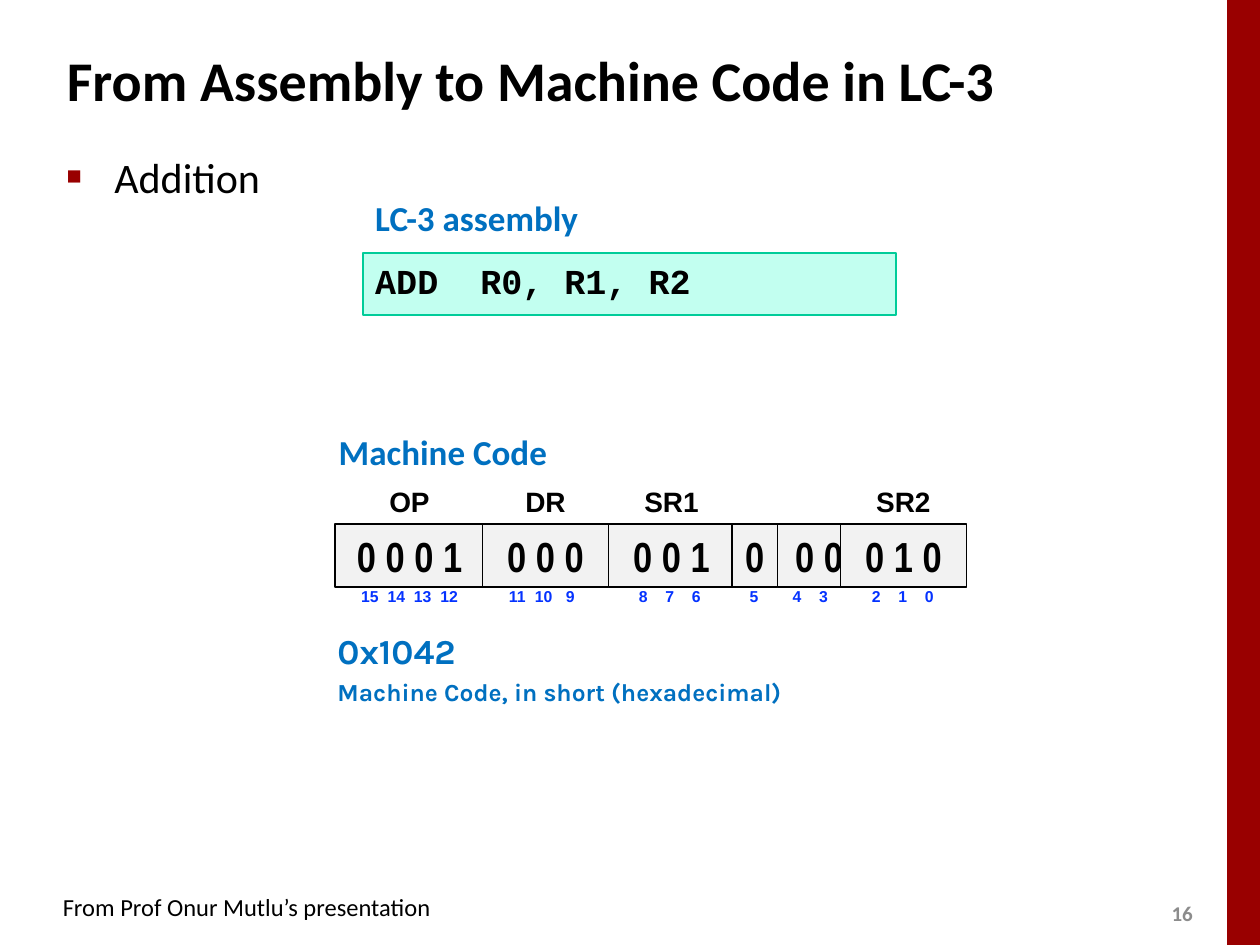
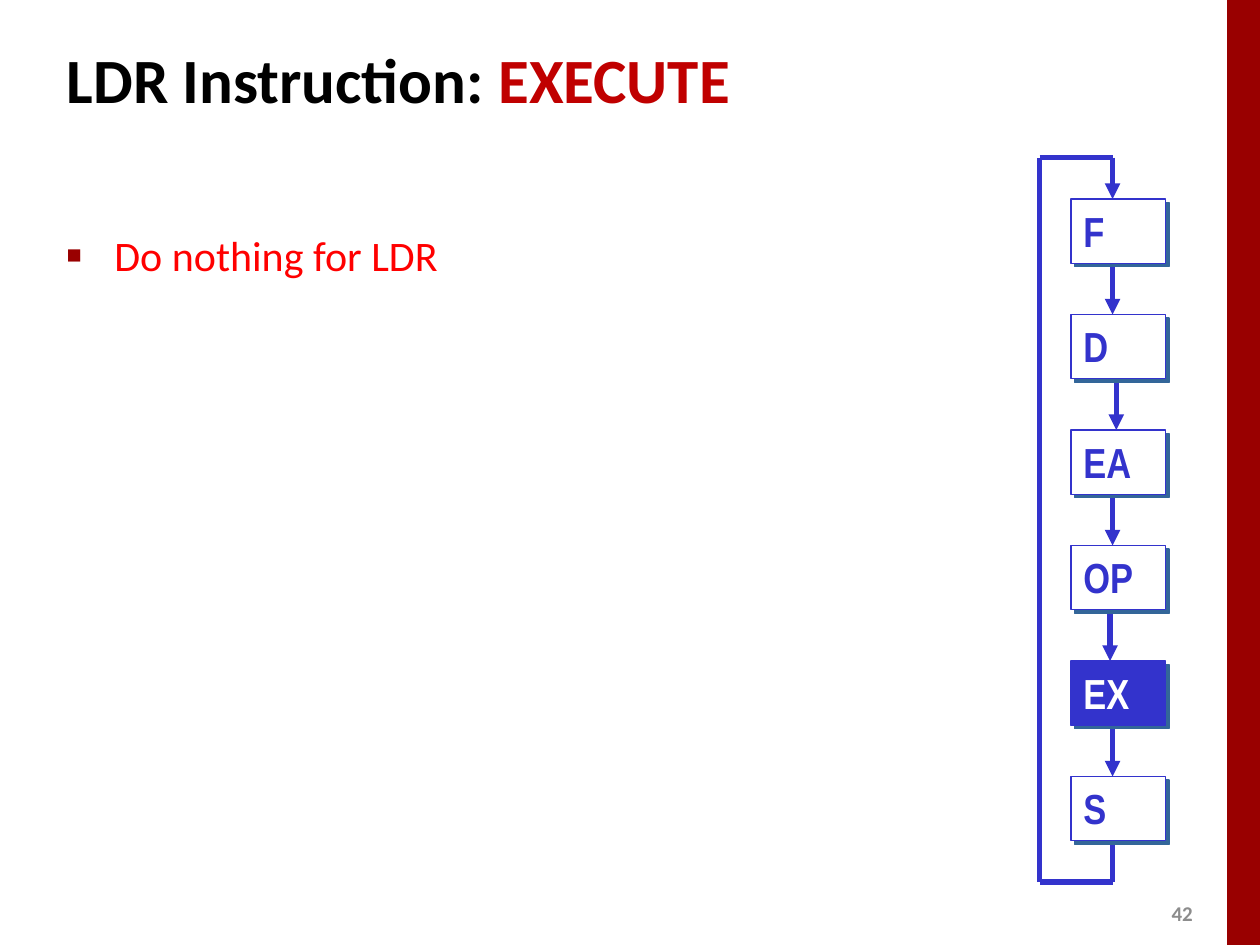
from itertools import pairwise

from lxml.etree import SubElement
from pptx import Presentation
from pptx.dml.color import RGBColor
from pptx.enum.shapes import MSO_CONNECTOR, MSO_SHAPE
from pptx.enum.text import MSO_ANCHOR, MSO_AUTO_SIZE, PP_ALIGN
from pptx.oxml.ns import qn
from pptx.util import Inches, Pt

BLACK = RGBColor(0x00, 0x00, 0x00)
WHITE = RGBColor(0xFF, 0xFF, 0xFF)
DARK_RED = RGBColor(0x99, 0x00, 0x00)
EMPHASIS_RED = RGBColor(0xC0, 0x00, 0x00)
BRIGHT_RED = RGBColor(0xFF, 0x00, 0x00)
PAGE_GRAY = RGBColor(0x8C, 0x8C, 0x8C)
CAPTION_BLUE = RGBColor(0x00, 0x70, 0xC0)
BIT_BLUE = RGBColor(0x04, 0x32, 0xFF)
STAGE_BLUE = RGBColor(0x33, 0x33, 0xCC)
CODE_FILL = RGBColor(0xC2, 0xFF, 0xF0)
CODE_LINE = RGBColor(0x00, 0xCC, 0x99)
FIELD_FILL = RGBColor(0xF2, 0xF2, 0xF2)
SHADOW_COLOR = "336699"

# name, bits, left, width, highest bit number, left of its number label
INSTRUCTION_FIELDS = [
    ("OP", "0 0 0 1", 2.66, 1.18, 15, 2.74),
    ("DR", "0 0 0", 3.83, 1, 11, 3.91),
    ("SR1", "0 0 1", 4.83, 1, 8, 4.91),
    ("", "0", 5.81, 0.36, 5, 5.79),
    ("", "0 0", 6.17, 0.66, 4, 6.13),
    ("SR2", "0 1 0", 6.67, 1, 2, 6.76),
]
BIT_PITCH = 0.21

STAGES = ["F", "D", "EA", "OP", "EX", "S"]
STAGE_ARROW_LEFTS = [8.83, 8.86, 8.83, 8.81, 8.83]
STAGE_TOP = 1.58
STAGE_PITCH = 11 / 12
STAGE_HEIGHT = 0.51
RETURN_PATH = [(8.83, 6.67), (8.83, 7), (8.25, 7), (8.25, 1.25),
               (8.83, 1.25), (8.83, STAGE_TOP)]


def add_run(paragraph, text, size, color, font="Calibri", bold=False):
    run = paragraph.add_run()
    run.text = text
    run.font.name = font
    run.font.size = Pt(size)
    run.font.bold = bold
    run.font.color.rgb = color


def add_text(slide, text, left, top, width, height, size, color, font="Calibri",
             bold=True, align=PP_ALIGN.LEFT, anchor=MSO_ANCHOR.TOP, space_before=0):
    """Add a wrapped text box with one run; return its frame."""
    box = slide.shapes.add_textbox(Inches(left), Inches(top), Inches(width), Inches(height))
    frame = box.text_frame
    frame.word_wrap = True
    frame.vertical_anchor = anchor
    paragraph = frame.paragraphs[0]
    paragraph.alignment = align
    paragraph.space_before = Pt(space_before)
    add_run(paragraph, text, size, color, font, bold)
    return frame


def add_box(slide, left, top, width, height, fill, line=None, line_width=0.75):
    shape = slide.shapes.add_shape(
        MSO_SHAPE.RECTANGLE, Inches(left), Inches(top), Inches(width), Inches(height))
    shape.shadow.inherit = False
    shape.fill.solid()
    shape.fill.fore_color.rgb = fill
    if line is None:
        shape.line.fill.background()
    else:
        shape.line.color.rgb = line
        shape.line.width = Pt(line_width)
    return shape


def fill_box(shape, text, size, color, font, align=PP_ALIGN.LEFT,
             anchor=MSO_ANCHOR.TOP, space_before=0):
    frame = shape.text_frame
    frame.word_wrap = align == PP_ALIGN.LEFT
    frame.vertical_anchor = anchor
    paragraph = frame.paragraphs[0]
    paragraph.alignment = align
    paragraph.space_before = Pt(space_before)
    add_run(paragraph, text, size, color, font, bold=True)


def add_hard_shadow(shape):
    effects = shape._element.spPr.find(qn("a:effectLst"))
    shadow = SubElement(effects, qn("a:outerShdw"), blurRad="0", dist=str(Pt(2.83)),
                        dir="2700000", algn="ctr", rotWithShape="0")
    SubElement(shadow, qn("a:srgbClr"), val=SHADOW_COLOR)


def add_line(slide, start, end, arrow=False):
    connector = slide.shapes.add_connector(
        MSO_CONNECTOR.STRAIGHT, *(Inches(value) for value in (*start, *end)))
    connector.line.color.rgb = STAGE_BLUE
    connector.line.width = Pt(3)
    if arrow:
        SubElement(connector.line._get_or_add_ln(), qn("a:tailEnd"), type="triangle")
    SubElement(connector._element.spPr, qn("a:effectLst"))


def add_bullet(slide, text, top, color):
    frame = add_text(slide, text, 0.43, top, 7.43, 0.5, 24, color,
                     bold=False, space_before=4.8)
    properties = frame.paragraphs[0]._p.get_or_add_pPr()
    properties.set("marL", str(Inches(0.38)))
    properties.set("indent", str(-Inches(0.38)))
    bullet_color = SubElement(properties, qn("a:buClr"))
    SubElement(bullet_color, qn("a:srgbClr"), val=str(DARK_RED))
    SubElement(properties, qn("a:buSzPct"), val="60000")
    SubElement(properties, qn("a:buFont"), typeface="Arial")
    SubElement(properties, qn("a:buChar"), char="■")


def add_titled_slide(presentation, title_runs, title_size, page_number):
    """Add a slide with its title, red side band and page number."""
    slide = presentation.slides.add_slide(presentation.slide_layouts[5])
    add_box(slide, 9.74, 0, 0.26, 7.5, DARK_RED)
    title = slide.shapes.title
    title.left, title.top = Inches(0.43), Inches(0.21)
    title.width, title.height = Inches(8.3), Inches(0.83)
    frame = title.text_frame
    frame.auto_size = MSO_AUTO_SIZE.NONE
    frame.vertical_anchor = MSO_ANCHOR.MIDDLE
    paragraph = frame.paragraphs[0]
    paragraph.alignment = PP_ALIGN.LEFT
    for text, color in title_runs:
        add_run(paragraph, text, title_size, color, bold=True)
    add_text(slide, page_number, 9.2, 7.1, 0.4, 0.3, 12, PAGE_GRAY,
             anchor=MSO_ANCHOR.MIDDLE)
    return slide


def add_instruction_fields(slide):
    centered = {"align": PP_ALIGN.CENTER, "anchor": MSO_ANCHOR.MIDDLE}
    for name, bits, left, width, highest_bit, label_left in INSTRUCTION_FIELDS:
        box = add_box(slide, left, 4.16, width, 0.5, FIELD_FILL, BLACK)
        fill_box(box, bits, 24, BLACK, "Arial Narrow", **centered)
        if name:
            add_text(slide, name, left, 3.79, width, 0.37, 16, BLACK, "Arial", **centered)
        for index in range(len(bits.split())):
            add_text(slide, str(highest_bit - index), label_left + index * BIT_PITCH, 4.61,
                     0.39, 0.25, 9, BIT_BLUE, "Arial", **centered)


def add_instruction_cycle(slide, current_stage):
    tops = [STAGE_TOP + index * STAGE_PITCH for index in range(len(STAGES))]
    for left, (top, next_top) in zip(STAGE_ARROW_LEFTS, pairwise(tops)):
        add_line(slide, (left, top + 0.5), (left, next_top), arrow=True)
    for start, end in pairwise(RETURN_PATH):
        add_line(slide, start, end, arrow=end == RETURN_PATH[-1])
    for stage, top in zip(STAGES, tops):
        fill, color = (STAGE_BLUE, WHITE) if stage == current_stage else (WHITE, STAGE_BLUE)
        box = add_box(slide, 8.5, top, 0.75, STAGE_HEIGHT, fill, STAGE_BLUE)
        add_hard_shadow(box)
        fill_box(box, stage, 24, color, "Arial Narrow")


def build_machine_code_slide(presentation):
    slide = add_titled_slide(
        presentation, [("From Assembly to Machine Code in LC-3", BLACK)], 32, "16")
    add_bullet(slide, "Addition", 1.15, BLACK)
    code_box = add_box(slide, 2.88, 2.01, 4.23, 0.49, CODE_FILL, CODE_LINE, 1)
    fill_box(code_box, "ADD  R0, R1, R2", 20, BLACK, "Courier New", space_before=4)
    for caption, left, top in [("LC-3 assembly", 2.88, 1.51), ("Machine Code", 2.59, 3.37)]:
        add_text(slide, caption, left, top, 4.23, 0.5, 20, CAPTION_BLUE, space_before=4)
    add_instruction_fields(slide)
    frame = add_text(slide, "0x1042", 2.58, 4.95, 4.23, 0.5, 20, CAPTION_BLUE, "Karla",
                     space_before=4)
    paragraph = frame.add_paragraph()
    paragraph.space_before = Pt(2.8)
    add_run(paragraph, "Machine Code, in short (hexadecimal)", 14, CAPTION_BLUE, "Karla",
            bold=True)
    add_text(slide, "From Prof Onur Mutlu’s presentation", 0.4, 7.03, 3.4, 0.34, 14, BLACK,
             bold=False)


def build_execute_slide(presentation):
    slide = add_titled_slide(
        presentation, [("LDR Instruction: ", BLACK), ("EXECUTE", EMPHASIS_RED)], 36, "42")
    add_bullet(slide, "Do nothing for LDR", 1.77, BRIGHT_RED)
    add_instruction_cycle(slide, "EX")


def main():
    presentation = Presentation()
    presentation.slide_width = Inches(10)
    presentation.slide_height = Inches(7.5)
    build_machine_code_slide(presentation)
    build_execute_slide(presentation)
    presentation.save("out.pptx")


if __name__ == "__main__":
    main()
